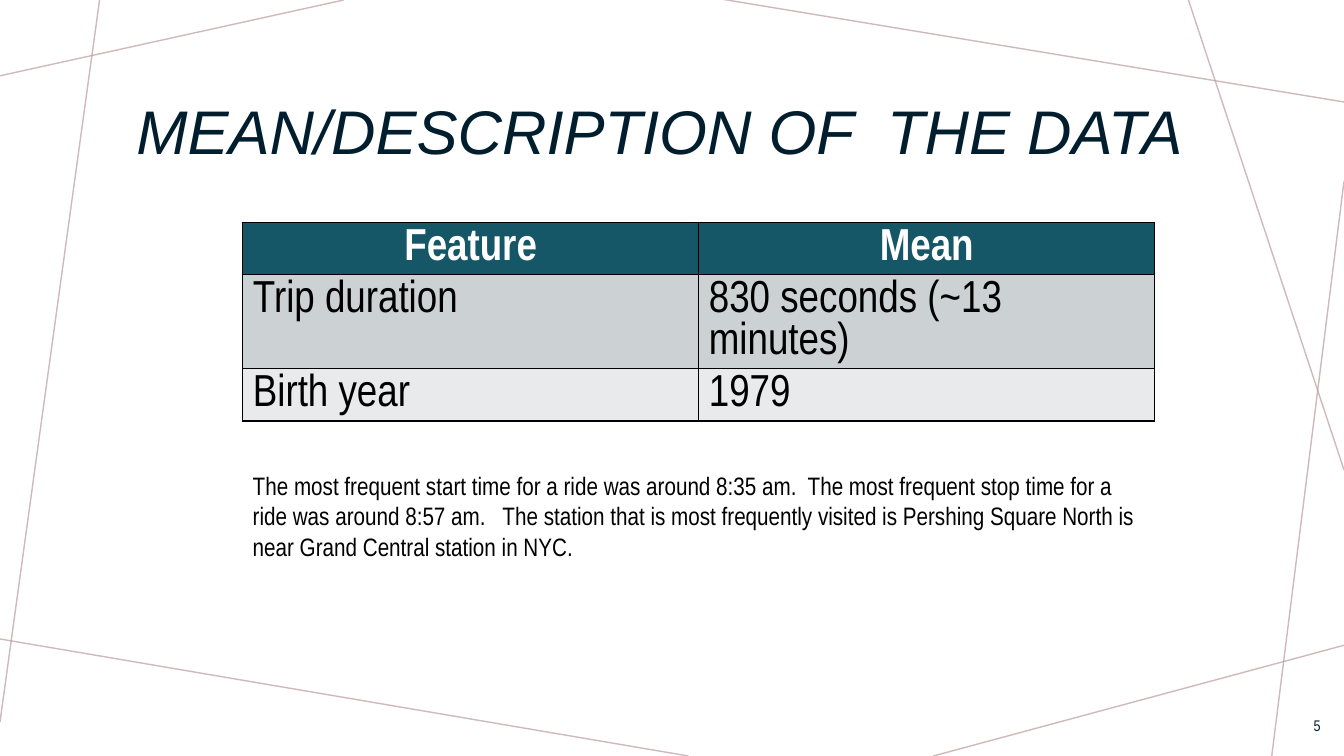
from lxml.etree import SubElement
from pptx import Presentation
from pptx.dml.color import RGBColor
from pptx.enum.shapes import MSO_CONNECTOR
from pptx.enum.text import MSO_ANCHOR, PP_ALIGN
from pptx.oxml import parse_xml
from pptx.oxml.ns import nsdecls, qn
from pptx.util import Cm, Pt

NAVY = RGBColor(0x00, 0x1E, 0x2E)
TEAL = RGBColor(0x15, 0x57, 0x67)
GREY = RGBColor(0xCC, 0xD1, 0xD3)
PALE = RGBColor(0xE8, 0xEA, 0xEB)
MAUVE = RGBColor(0xBA, 0x9C, 0xA0)
BLACK = RGBColor(0x00, 0x00, 0x00)
WHITE = RGBColor(0xFF, 0xFF, 0xFF)
WIDTH, HEIGHT = 33.87, 19.05


def add_span(para, text, size, color, font="Arial Narrow"):
    span = para.add_run()
    span.text = text
    span.font.name = font
    span.font.size = Pt(size)
    span.font.color.rgb = color
    return span


deck = Presentation()
deck.slide_width, deck.slide_height = Cm(WIDTH), Cm(HEIGHT)
page = deck.slides.add_slide(deck.slide_layouts[5])

# Decorative lines around the edges
edge_lines = [
    (8.66, 0, 0, 1.91),
    (2.51, 0, 0, 18.19),
    (17.35, HEIGHT, -0.13, 16.08),
    (WIDTH, 16.26, 23.52, HEIGHT),
    (WIDTH, 4.57, 32.05, HEIGHT),
    (WIDTH, 11.84, 29.95, 0),
    (WIDTH, 2.57, 18.14, -0.03),
]
for ends in edge_lines:
    line = page.shapes.add_connector(MSO_CONNECTOR.STRAIGHT, *map(Cm, ends))
    line.line.width = Pt(1)
    line.line.color.rgb = MAUVE
    properties = line.element.spPr
    SubElement(properties.find(".//" + qn("a:srgbClr")), qn("a:alpha"), val="70000")
    SubElement(properties, qn("a:effectLst"))

# Title, in front of the lines
title = page.shapes.title
title.element.getparent().append(title.element)
title.left, title.top, title.width, title.height = Cm(3.18), Cm(1.47), Cm(27.51), Cm(3.84)
title.text_frame.vertical_anchor = MSO_ANCHOR.MIDDLE
para = title.text_frame.paragraphs[0]
para.alignment = PP_ALIGN.LEFT
para.line_spacing = 0.9
span = add_span(para, "MEAN/DESCRIPTION OF  THE DATA", 44, NAVY, "Arial")
span.font.italic = True

# Slide number
box = page.shapes.add_textbox(Cm(32.23), Cm(17.78), Cm(1.3), Cm(1.02))
box.text_frame.word_wrap = True
box.text_frame.vertical_anchor = MSO_ANCHOR.MIDDLE
para = box.text_frame.paragraphs[0]
para.alignment = PP_ALIGN.RIGHT
add_span(para, "5", 11, NAVY)

# Table of means
rows = [
    ("Feature", "Mean"),
    ("Trip duration", "830 seconds (~13 minutes)"),
    ("Birth year", "1979"),
]
row_fills = [TEAL, GREY, PALE]
row_heights = [1.31, 2.37, 1.31]
table = page.shapes.add_table(
    3, 2, Cm(6.12), Cm(5.61), Cm(22.98), Cm(sum(row_heights))
).table
for r, texts in enumerate(rows):
    table.rows[r].height = Cm(row_heights[r])
    for c, text in enumerate(texts):
        cell = table.cell(r, c)
        cell.fill.solid()
        cell.fill.fore_color.rgb = row_fills[r]
        para = cell.text_frame.paragraphs[0]
        para.line_spacing = Pt(30)
        para.alignment = PP_ALIGN.CENTER if r == 0 else PP_ALIGN.LEFT
        span = add_span(para, text, 32, WHITE if r == 0 else BLACK)
        span.font.bold = r == 0
        cell_properties = cell._tc.get_or_add_tcPr()
        for i, side in enumerate(("lnL", "lnR", "lnT", "lnB")):
            border = parse_xml(
                f'<a:{side} {nsdecls("a")} w="12700"><a:solidFill>'
                f'<a:srgbClr val="{BLACK}"/></a:solidFill></a:{side}>'
            )
            cell_properties.insert(i, border)

# Remarks below the table
box = page.shapes.add_textbox(Cm(6.12), Cm(11.73), Cm(22.98), Cm(2.57))
box.text_frame.word_wrap = True
add_span(
    box.text_frame.paragraphs[0],
    "The most frequent start time for a ride was around 8:35 am.  "
    "The most frequent stop time for a ride was around 8:57 am.   "
    "The station that is most frequently visited is Pershing Square North "
    "is near Grand Central station in NYC.",
    18,
    BLACK,
)

deck.save("out.pptx")
